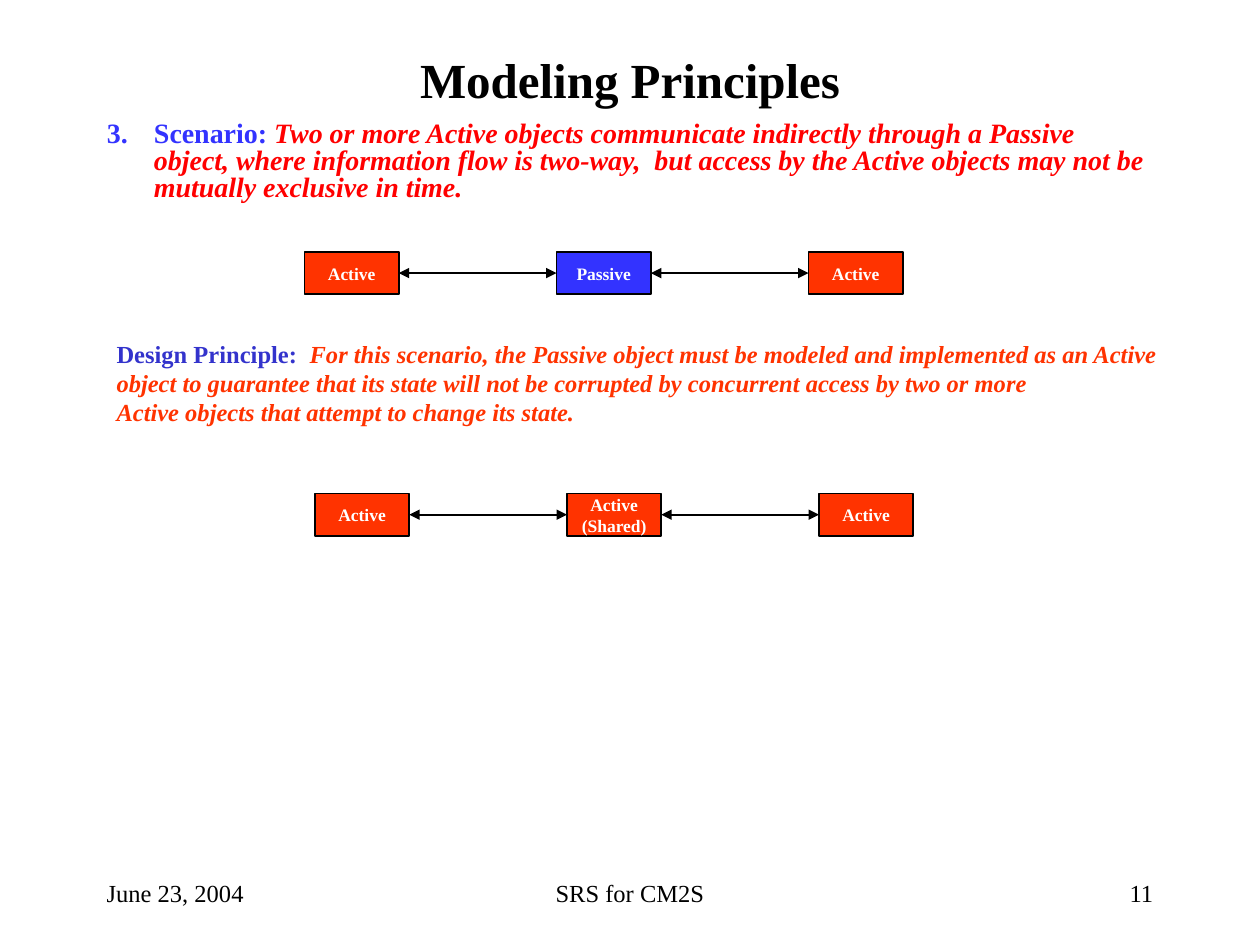
from lxml import etree
from pptx import Presentation
from pptx.dml.color import RGBColor
from pptx.enum.shapes import MSO_CONNECTOR, MSO_SHAPE
from pptx.enum.text import MSO_ANCHOR, MSO_AUTO_SIZE, PP_ALIGN
from pptx.oxml.ns import qn
from pptx.util import Cm, Pt

LEFT, CENTER, RIGHT = PP_ALIGN.LEFT, PP_ALIGN.CENTER, PP_ALIGN.RIGHT
TOP, MIDDLE = MSO_ANCHOR.TOP, MSO_ANCHOR.MIDDLE
NO_FIT = MSO_AUTO_SIZE.NONE
RECTANGLE = MSO_SHAPE.RECTANGLE
STRAIGHT = MSO_CONNECTOR.STRAIGHT
FONT = "Times New Roman"
BLACK, WHITE, ORANGE, RED = "000000", "FFFFFF", "FF3300", "FF0000"
BLUE, DARK_BLUE = "3333FF", "3333CC"


def color(value):
    return RGBColor.from_string(value)


def place(shape, left, top, width, height):
    shape.left, shape.top = Cm(left), Cm(top)
    shape.width, shape.height = Cm(width), Cm(height)


def set_frame(shape, anchor, wrap=True):
    frame = shape.text_frame
    frame.auto_size = NO_FIT
    frame.word_wrap = wrap
    frame.vertical_anchor = anchor
    return frame


def style(para, size, align, bold=True, fill=None):
    para.alignment = align
    para.font.name, para.font.size, para.font.bold = FONT, Pt(size), bold
    if fill:
        para.font.color.rgb = color(fill)


def add_label_and_statement(para, label, label_color, statement, statement_color):
    span = para.add_run()
    span.text = label
    span.font.color.rgb = color(label_color)
    for number, line in enumerate(statement.split("\n")):
        if number:
            para.add_line_break()
        span = para.add_run()
        span.text = line
        span.font.italic = True
        span.font.color.rgb = color(statement_color)


def fill_title(page, left, top, width, height):
    title = page.shapes.title
    place(title, left, top, width, height)
    frame = set_frame(title, MIDDLE)
    frame.text = "Modeling Principles"
    style(frame.paragraphs[0], 28, CENTER, fill=BLACK)


def fill_scenario(page, left, top, width, height):
    body = page.placeholders[1]
    place(body, left, top, width, height)
    para = set_frame(body, TOP).paragraphs[0]
    properties = para._p.get_or_add_pPr()
    properties.set("marL", str(Cm(0.95)))
    properties.set("indent", str(Cm(-0.95)))
    bullet_color = etree.SubElement(properties, qn("a:buClr"))
    etree.SubElement(bullet_color, qn("a:srgbClr"), val=BLUE)
    etree.SubElement(properties, qn("a:buFont"), typeface=FONT)
    etree.SubElement(properties, qn("a:buAutoNum"), type="arabicPeriod", startAt="3")
    para.line_spacing = 0.8
    para.space_before = Pt(0)
    style(para, 16, LEFT)
    add_label_and_statement(
        para, "Scenario: ", BLUE,
        "Two or more Active objects communicate indirectly through a Passive object, "
        "where information flow is two-way,  but access by the Active objects may not be "
        "mutually exclusive in time.", RED)


def add_principle(page, left, top, width, height):
    box = page.shapes.add_textbox(Cm(left), Cm(top), Cm(width), Cm(height))
    para = set_frame(box, TOP, wrap=False).paragraphs[0]
    style(para, 14, LEFT)
    add_label_and_statement(
        para, "Design Principle:  ", DARK_BLUE,
        "For this scenario, the Passive object must be modeled and implemented as an Active \n"
        "object to guarantee that its state will not be corrupted by concurrent access by "
        "two or more \n"
        "Active objects that attempt to change its state.", ORANGE)


def add_object(page, left, top, width, height, text, fill):
    box = page.shapes.add_shape(RECTANGLE, Cm(left), Cm(top), Cm(width), Cm(height))
    box.shadow.inherit = False
    box.fill.solid()
    box.fill.fore_color.rgb = color(fill)
    box.line.color.rgb = color(BLACK)
    box.line.width = Pt(1)
    frame = set_frame(box, MIDDLE, wrap=False)
    frame.text = text
    for para in frame.paragraphs:
        style(para, 10, CENTER, fill=WHITE)


def add_double_arrow(page, start, end, level):
    arrow = page.shapes.add_connector(STRAIGHT, Cm(start), Cm(level), Cm(end), Cm(level))
    arrow.line.color.rgb = color(BLACK)
    arrow.line.width = Pt(1)
    line = arrow.line._get_or_add_ln()
    for tag in ("a:headEnd", "a:tailEnd"):
        etree.SubElement(line, qn(tag), type="triangle")
    etree.SubElement(arrow._element.spPr, qn("a:effectLst"))


def add_object_row(page, left, top, width, height, objects):
    box_width = 1.9
    pitch = (width - box_width) / (len(objects) - 1)
    for number, (text, fill) in enumerate(objects):
        box_left = left + number * pitch
        add_object(page, box_left, top, box_width, height, text, fill)
        if number:
            add_double_arrow(page, box_left - pitch + box_width, box_left, top + height / 2)


def add_footer(page, left, top, width, height):
    side_width, middle_width = 5.29, 8.04
    parts = [
        ("June 23, 2004", left, side_width, LEFT),
        ("SRS for CM2S", left + (width - middle_width) / 2, middle_width, CENTER),
        ("11", left + width - side_width, side_width, RIGHT),
    ]
    for text, part_left, part_width, align in parts:
        box = page.shapes.add_textbox(Cm(part_left), Cm(top), Cm(part_width), Cm(height))
        frame = set_frame(box, MIDDLE)
        frame.text = text
        style(frame.paragraphs[0], 14, align, bold=False, fill=BLACK)


def main():
    deck = Presentation()
    deck.slide_width, deck.slide_height = Cm(25.4), Cm(19.05)
    page = deck.slides.add_slide(deck.slide_layouts[1])
    active = ("Active", ORANGE)
    fill_title(page, 1.9, 0.85, 21.6, 1.48)
    fill_scenario(page, 1.9, 2.33, 21.6, 1.9)
    add_object_row(page, 6.14, 5.08, 12.06, 0.85, [active, ("Passive", BLUE), active])
    add_principle(page, 2.1, 6.7, 21.64, 2.03)
    add_object_row(page, 6.35, 9.95, 12.06, 0.85,
                   [active, ("Active\n(Shared)", ORANGE), active])
    add_footer(page, 1.9, 17.36, 21.6, 1.27)
    deck.save("out.pptx")


if __name__ == "__main__":
    main()
